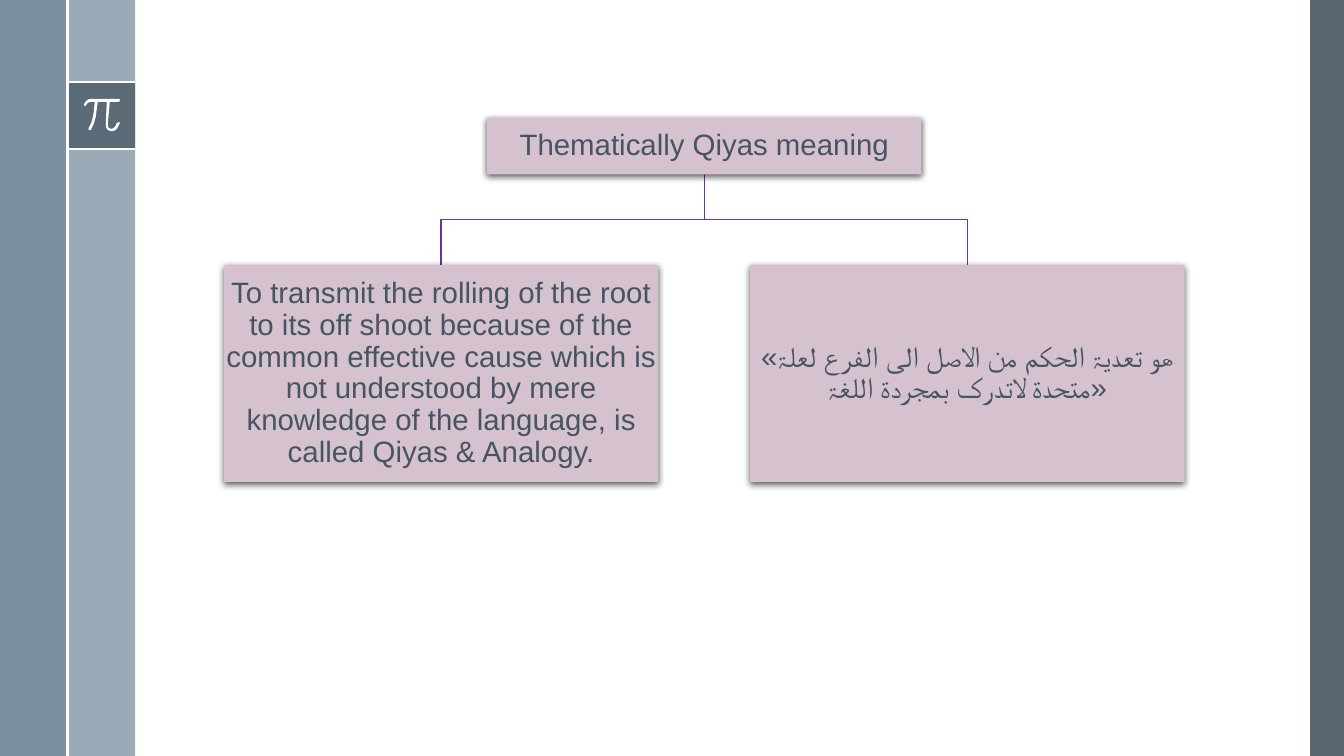
from dataclasses import dataclass

from lxml.etree import SubElement
from pptx import Presentation
from pptx.dml.color import RGBColor
from pptx.enum.shapes import MSO_CONNECTOR, MSO_SHAPE
from pptx.enum.text import MSO_ANCHOR, PP_ALIGN
from pptx.oxml.ns import qn
from pptx.util import Inches, Pt


@dataclass(frozen=True)
class Theme:
    dark: str = "465562"
    steel: str = "6A8093"
    pale: str = "9BAAB7"
    white: str = "FFFFFF"
    mauve: str = "D6C1CE"
    purple: str = "7030A0"
    font: str = "Arial"
    text_size: float = 21
    divider: float = 1.5
    branch: float = 1


THEME = Theme()
SLIDE_WIDTH, SLIDE_HEIGHT = 13.33, 7.5
BAND = 0.67

# Outline of the pi symbol, relative to the top left of its tile
PI_POINTS = [
    (0.51, 0.17), (0.23, 0.17), (0.2, 0.18), (0.18, 0.2), (0.16, 0.23),
    (0.17, 0.24), (0.18, 0.24), (0.2, 0.21), (0.23, 0.2), (0.27, 0.2),
    (0.26, 0.31), (0.24, 0.4), (0.21, 0.46), (0.21, 0.48), (0.22, 0.48),
    (0.23, 0.48), (0.26, 0.42), (0.28, 0.35), (0.3, 0.2), (0.39, 0.2),
    (0.38, 0.41), (0.38, 0.45), (0.4, 0.48), (0.43, 0.49), (0.45, 0.49),
    (0.48, 0.48), (0.5, 0.45), (0.52, 0.41), (0.51, 0.4), (0.49, 0.41),
    (0.47, 0.45), (0.44, 0.47), (0.41, 0.46), (0.4, 0.44), (0.4, 0.41),
    (0.42, 0.2), (0.51, 0.2), (0.52, 0.19), (0.52, 0.18),
]

ROOT = "Thematically Qiyas meaning"
MEANINGS = [
    "To transmit the rolling of the root to its off shoot because of the "
    "common effective cause which is not understood by mere knowledge of "
    "the language, is called Qiyas & Analogy.",
    "«ھو تعدیۃ الحکم من الاصل الی الفرع لعلۃ متحدۃ لاتدرک بمجردۃ اللغۃ»",
]


def rgb(value):
    return RGBColor.from_string(value)


def add_box(page, left, top, width, height, color, opacity=100):
    box = page.shapes.add_shape(
        MSO_SHAPE.RECTANGLE, *map(Inches, (left, top, width, height)))
    box.shadow.inherit = False
    box.line.fill.background()
    box.fill.solid()
    box.fill.fore_color.rgb = rgb(color)
    if opacity < 100:
        color_element = box._element.spPr.find(qn("a:solidFill"))[0]
        SubElement(color_element, qn("a:alpha"), val=str(opacity * 1000))
    return box


def add_outline(page, points, closed):
    start, *rest = [(Inches(x), Inches(y)) for x, y in points]
    builder = page.shapes.build_freeform(*start)
    builder.add_line_segments(rest, close=closed)
    outline = builder.convert_to_shape()
    outline.shadow.inherit = False
    return outline


def add_divider(page, x1, y1, x2, y2):
    divider = page.shapes.add_connector(
        MSO_CONNECTOR.STRAIGHT, *map(Inches, (x1, y1, x2, y2)))
    divider.line.color.rgb = rgb(THEME.white)
    divider.line.width = Pt(THEME.divider)
    SubElement(divider._element.spPr, qn("a:effectLst"))


def add_side_bands(page, left, top, width, height):
    """Bands at both edges, with the pi tile on the inner left band."""
    inner, tile_top = left + BAND, top + 0.81
    right_band = BAND / 2
    add_box(page, left + width - right_band, top, right_band, height, THEME.dark, 90)
    add_box(page, inner, top, BAND, height, THEME.pale)
    add_box(page, left, top, BAND, height, THEME.steel, 87)
    add_box(page, inner, tile_top, BAND, BAND, THEME.dark, 75)
    for y in (tile_top, tile_top + BAND):
        add_divider(page, inner, y, inner + BAND, y)

    symbol = add_outline(
        page, [(inner + x, tile_top + y) for x, y in PI_POINTS], closed=True)
    symbol.fill.solid()
    symbol.fill.fore_color.rgb = rgb(THEME.white)
    symbol.line.fill.background()
    add_divider(page, inner, top, inner, top + height)


def add_card(page, left, top, width, height, text):
    card = add_box(page, left, top, width, height, THEME.mauve)
    # Soft shadow below the card
    effects = card._element.spPr.find(qn("a:effectLst"))
    shadow = SubElement(
        effects, qn("a:outerShdw"), blurRad=str(Pt(4.5)), dist=str(Pt(1.5)),
        dir="5400000", algn="ctr", rotWithShape="0")
    black = SubElement(shadow, qn("a:srgbClr"), val="000000")
    SubElement(black, qn("a:alpha"), val="63000")

    frame = card.text_frame
    frame.word_wrap = True
    frame.vertical_anchor = MSO_ANCHOR.MIDDLE
    frame.margin_left = frame.margin_right = Inches(0.01)
    frame.margin_top = frame.margin_bottom = Inches(0.01)
    para = frame.paragraphs[0]
    para.text = text
    para.alignment = PP_ALIGN.CENTER
    para.line_spacing = 0.9
    para.font.name = THEME.font
    para.font.size = Pt(THEME.text_size)
    para.font.color.rgb = rgb(THEME.dark)


def add_tree(page, left, top, width, height, root, meanings):
    """A root card over a row of equal cards, joined by elbow branches."""
    card_width, root_height, branch_height = 4.31, 0.56, 0.9
    center, root_bottom = left + width / 2, top + root_height
    row_top = root_bottom + branch_height
    bend = root_bottom + branch_height / 2
    step = (width - card_width) / (len(meanings) - 1)
    lefts = [left + index * step for index in range(len(meanings))]

    for card_left in lefts:
        middle = card_left + card_width / 2
        branch = add_outline(
            page, [(center, root_bottom), (center, bend), (middle, bend),
                   (middle, row_top)], closed=False)
        branch.fill.background()
        branch.line.color.rgb = rgb(THEME.purple)
        branch.line.width = Pt(THEME.branch)

    add_card(page, center - card_width / 2, top, card_width, root_height, root)
    for card_left, meaning in zip(lefts, meanings):
        add_card(page, card_left, row_top, card_width,
                 top + height - row_top, meaning)


def main():
    deck = Presentation()
    deck.slide_width, deck.slide_height = Inches(SLIDE_WIDTH), Inches(SLIDE_HEIGHT)
    page = deck.slides.add_slide(deck.slide_layouts[6])
    page.background.fill.solid()
    page.background.fill.fore_color.rgb = rgb(THEME.white)
    add_side_bands(page, 0, 0, SLIDE_WIDTH, SLIDE_HEIGHT)
    add_tree(page, 2.22, 1.17, 9.53, 3.61, ROOT, MEANINGS)
    deck.save("out.pptx")


if __name__ == "__main__":
    main()
